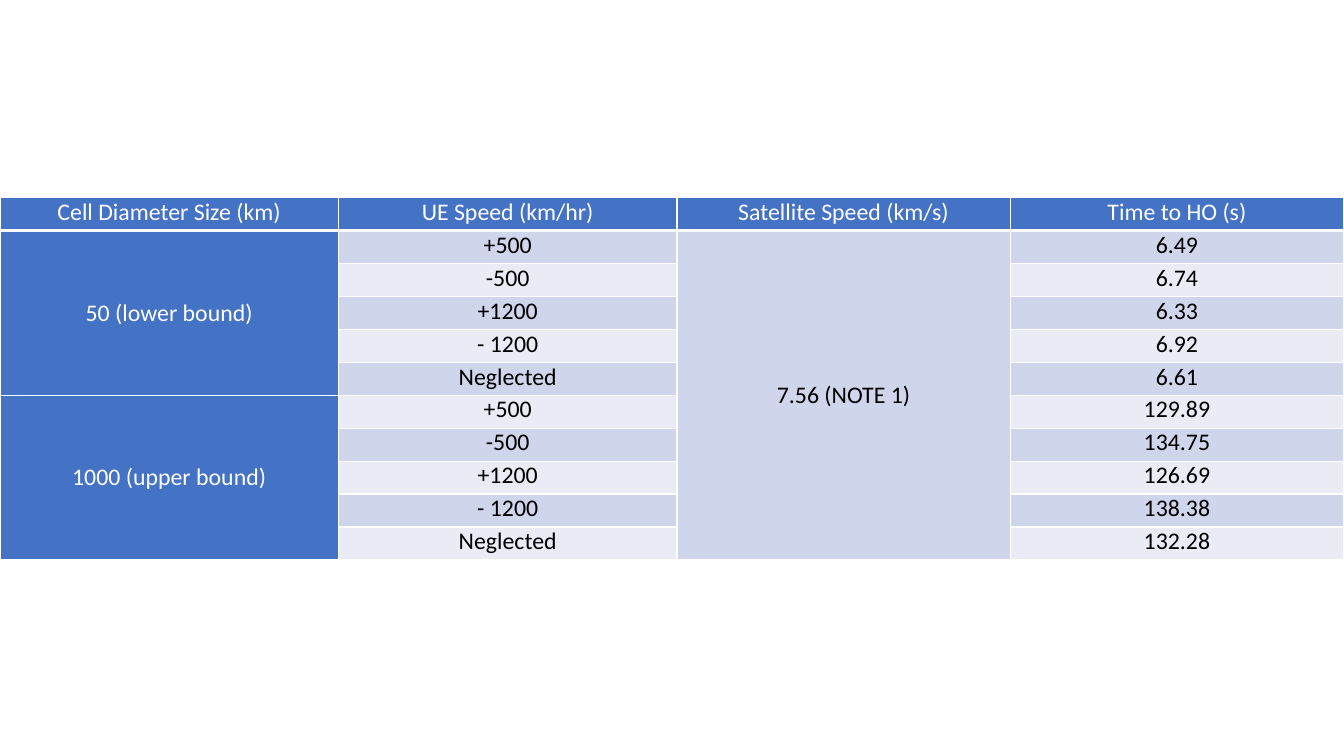
"""Build a slide with a table of satellite handover times."""
from dataclasses import dataclass

from lxml.etree import SubElement
from pptx import Presentation
from pptx.dml.color import RGBColor
from pptx.enum.text import MSO_VERTICAL_ANCHOR as Anchor, PP_PARAGRAPH_ALIGNMENT as Align
from pptx.oxml.ns import qn
from pptx.table import Table, _Cell as Cell
from pptx.util import Cm, Pt

WHITE, BLACK, BLUE = "FFFFFF", "000000", "4472C4"
BANDS = ("CFD5EA", "E9EBF5")
HEADERS = ("Cell Diameter Size (km)", "UE Speed (km/hr)", "Satellite Speed (km/s)", "Time to HO (s)")
UE_SPEEDS = ("+500", "-500", "+1200", "- 1200", "Neglected")
COLUMN_WIDTHS = (8.53, 8.53, 8.4, 8.4)
ROW_HEIGHT = 0.83
TABLE_TOP = 4.98


@dataclass(frozen=True)
class CellSize:
    label: str
    handover_times: tuple[str, ...]


CELL_SIZES = (
    CellSize("50 (lower bound)", ("6.49", "6.74", "6.33", "6.92", "6.61")),
    CellSize("1000 (upper bound)", ("129.89", "134.75", "126.69", "138.38", "132.28")),
)


def color(value: str) -> RGBColor:
    return RGBColor.from_string(value)


def style_cell(cell: Cell, fill: str, top: float = 1, bottom: float = 1) -> None:
    properties = cell._tc.get_or_add_tcPr()
    for side, width in (("L", 1), ("R", 1), ("T", top), ("B", bottom)):
        line = SubElement(properties, qn(f"a:ln{side}"), w=str(Pt(width)))
        line_fill = SubElement(line, qn("a:solidFill"))
        SubElement(line_fill, qn("a:srgbClr"), val=WHITE)
    cell.fill.solid()
    cell.fill.fore_color.rgb = color(fill)


def write_text(cell: Cell, text: str, *, font_color: str = BLACK, anchor: Anchor = Anchor.TOP,
               side_margin: float = 0.36, end_margin: float = 0) -> None:
    cell.margin_left = cell.margin_right = Cm(side_margin)
    cell.margin_top = cell.margin_bottom = Cm(end_margin)
    cell.vertical_anchor = anchor
    paragraph = cell.text_frame.paragraphs[0]
    paragraph.alignment = Align.CENTER
    run = paragraph.add_run()
    run.text = text
    run.font.name = "Calibri"
    run.font.size = Pt(17)
    run.font.bold = False
    run.font.color.rgb = color(font_color)


def write_merged(table: Table, column: int, first: int, last: int, text: str, font_color: str) -> None:
    cell = table.cell(first, column)
    cell.merge(table.cell(last, column))
    write_text(cell, text, font_color=font_color, anchor=Anchor.MIDDLE, side_margin=0.48, end_margin=0.25)


def add_handover_table(presentation: Presentation) -> None:
    slide = presentation.slides.add_slide(presentation.slide_layouts[6])
    group_size = len(UE_SPEEDS)
    row_count = 1 + group_size * len(CELL_SIZES)
    table = slide.shapes.add_table(row_count, len(HEADERS), Cm(0), Cm(TABLE_TOP),
                                   Cm(sum(COLUMN_WIDTHS)), Cm(ROW_HEIGHT * row_count)).table
    for column, width in zip(table.columns, COLUMN_WIDTHS):
        column.width = Cm(width)
    for row in table.rows:
        row.height = Cm(ROW_HEIGHT)

    for column, header in enumerate(HEADERS):
        style_cell(table.cell(0, column), BLUE, bottom=3)
        write_text(table.cell(0, column), header, font_color=WHITE)
        for row in range(1, row_count):
            band = BANDS[0] if column == 2 else BANDS[(row - 1) % 2]
            style_cell(table.cell(row, column), BLUE if column == 0 else band, top=3 if row == 1 else 1)

    for group, cell_size in enumerate(CELL_SIZES):
        first = 1 + group * group_size
        write_merged(table, 0, first, first + group_size - 1, cell_size.label, WHITE)
        for row, (speed, time) in enumerate(zip(UE_SPEEDS, cell_size.handover_times), first):
            write_text(table.cell(row, 1), speed)
            write_text(table.cell(row, 3), time)
    write_merged(table, 2, 1, row_count - 1, "7.56 (NOTE 1)", BLACK)


def main() -> None:
    presentation = Presentation()
    presentation.slide_width = Cm(33.87)
    presentation.slide_height = Cm(19.05)
    add_handover_table(presentation)
    presentation.save("out.pptx")


if __name__ == "__main__":
    main()
